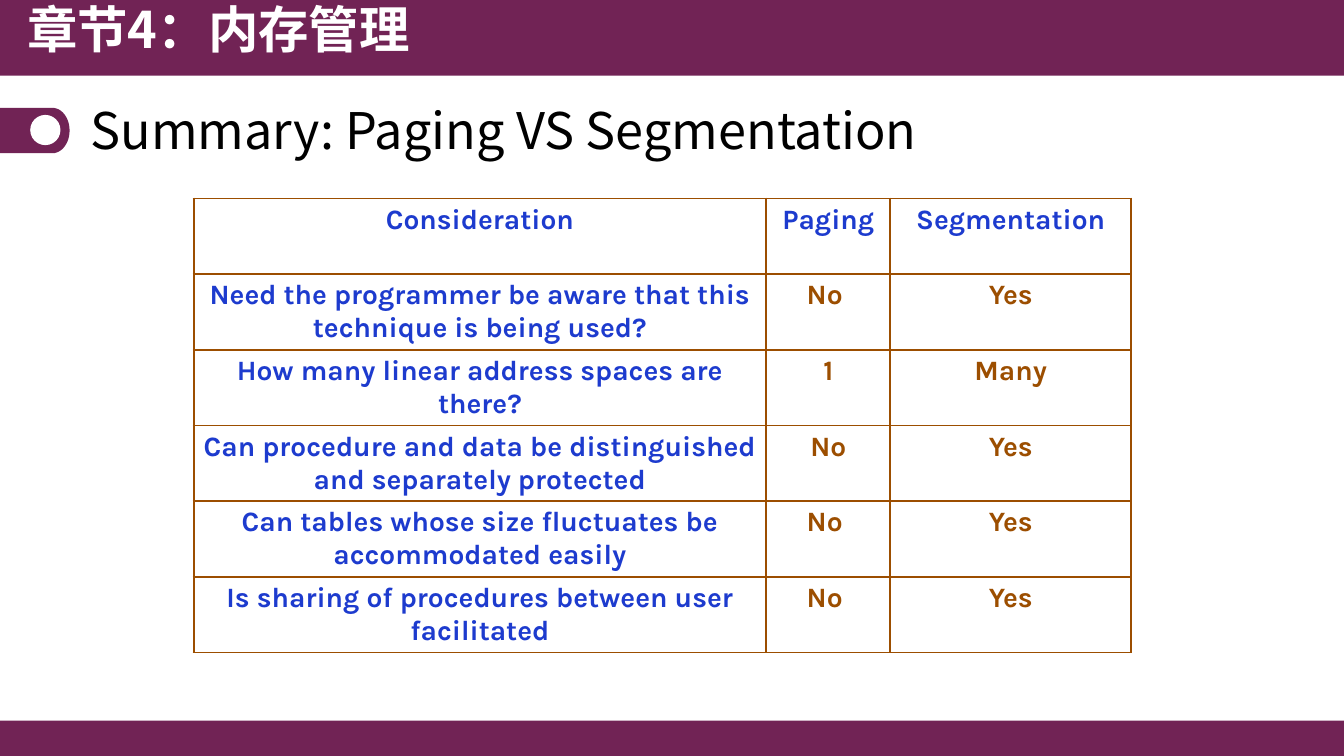
from math import cos, pi, sin

from lxml.etree import SubElement
from pptx import Presentation
from pptx.dml.color import RGBColor
from pptx.enum.shapes import MSO_SHAPE
from pptx.enum.text import MSO_ANCHOR, PP_ALIGN
from pptx.oxml.ns import qn
from pptx.util import Inches, Pt

PLUM = RGBColor(0x71, 0x23, 0x55)
WHITE = RGBColor(0xFF, 0xFF, 0xFF)
BLACK = RGBColor(0x00, 0x00, 0x00)
BLUE = RGBColor(0x1D, 0x3B, 0xCE)
BROWN = RGBColor(0x9C, 0x4E, 0x00)

HEADING = {"name": "Noto Sans CJK SC", "size": Pt(36)}
CELL = {"name": "Karla", "size": Pt(20), "bold": True}

COLUMN_WIDTHS = [5.68, 1.23, 2.39]
ROW_HEIGHT = 0.75
COMPARISON = [
    ["Consideration", "Paging", "Segmentation"],
    ["Need the programmer be aware that this technique is being used?", "No ", "Yes"],
    ["How many linear address spaces are there?", "1", "Many"],
    ["Can procedure and data be distinguished and separately protected", "No", "Yes"],
    ["Can tables whose size fluctuates be accommodated easily", "No ", "Yes"],
    ["Is sharing of procedures between user facilitated", "No ", "Yes"],
]


class SlideBuilder:
    """Draws the elements of one slide in a shared style."""

    def __init__(self, presentation):
        self.slide = presentation.slides.add_slide(presentation.slide_layouts[6])
        self.shapes = self.slide.shapes

    def paint(self, shape, color):
        shape.shadow.inherit = False
        shape.fill.solid()
        shape.fill.fore_color.rgb = color
        shape.line.fill.background()

    def preset(self, kind, box, color):
        self.paint(self.shapes.add_shape(kind, *map(Inches, box)), color)

    def tab(self, top, straight, width, height, color):
        radius = height / 2
        angles = [pi * step / 24 - pi / 2 for step in range(25)]
        arc = [(straight + (width - straight) * cos(angle), top + radius + radius * sin(angle))
               for angle in angles]
        builder = self.shapes.build_freeform(0, Inches(top), scale=1.0)
        points = arc + [(0, top + height)]
        builder.add_line_segments([(Inches(x), Inches(y)) for x, y in points], close=True)
        self.paint(builder.convert_to_shape(), color)

    def add_text(self, paragraph, text, style, color):
        run = paragraph.add_run()
        run.text = text
        for name, value in style.items():
            setattr(run.font, name, value)
        run.font.color.rgb = color
        SubElement(run.font._element, qn("a:ea"), typeface=style["name"])

    def text(self, box, text, style, color, anchor):
        frame = self.shapes.add_textbox(*map(Inches, box)).text_frame
        frame.word_wrap = True
        frame.vertical_anchor = anchor
        paragraph = frame.paragraphs[0]
        paragraph.line_spacing = 0.9
        self.add_text(paragraph, text, style, color)

    def border(self, cell, color):
        properties = cell._tc.get_or_add_tcPr()
        for position, side in enumerate(("lnL", "lnR", "lnT", "lnB")):
            line = properties.makeelement(qn(f"a:{side}"), {"w": str(Pt(1.5))})
            fill = SubElement(line, qn("a:solidFill"))
            SubElement(fill, qn("a:srgbClr"), val=str(color))
            properties.insert(position, line)

    def table(self, left, top, rows, widths, row_height):
        frame = self.shapes.add_table(
            len(rows), len(widths), Inches(left), Inches(top),
            Inches(sum(widths)), Inches(row_height * len(rows)))
        table = frame.table
        for column, width in zip(table.columns, widths):
            column.width = Inches(width)
        for row_index, row in enumerate(rows):
            for column_index, text in enumerate(row):
                cell = table.cell(row_index, column_index)
                cell.fill.solid()
                cell.fill.fore_color.rgb = WHITE
                self.border(cell, BROWN)
                paragraph = cell.text_frame.paragraphs[0]
                paragraph.alignment = PP_ALIGN.CENTER
                color = BROWN if row_index and column_index else BLUE
                self.add_text(paragraph, text, CELL, color)


def main():
    presentation = Presentation()
    presentation.slide_width = Inches(13.33)
    presentation.slide_height = Inches(7.5)
    builder = SlideBuilder(presentation)
    builder.preset(MSO_SHAPE.RECTANGLE, (0, 7.15, 13.33, 0.35), PLUM)
    builder.preset(MSO_SHAPE.RECTANGLE, (0, 0, 13.33, 0.75), PLUM)
    builder.tab(1.07, 0.52, 0.69, 0.45, PLUM)
    builder.preset(MSO_SHAPE.OVAL, (0.3, 1.14, 0.3, 0.3), WHITE)
    builder.table(1.92, 1.97, COMPARISON, COLUMN_WIDTHS, ROW_HEIGHT)
    builder.text((0.17, 0, 6.67, 0.77), "章节4：内存管理",
                 {**HEADING, "bold": True}, WHITE, MSO_ANCHOR.TOP)
    builder.text((0.8, 0.95, 11.53, 0.75), "Summary: Paging VS Segmentation",
                 HEADING, BLACK, MSO_ANCHOR.MIDDLE)
    presentation.save("out.pptx")


if __name__ == "__main__":
    main()
